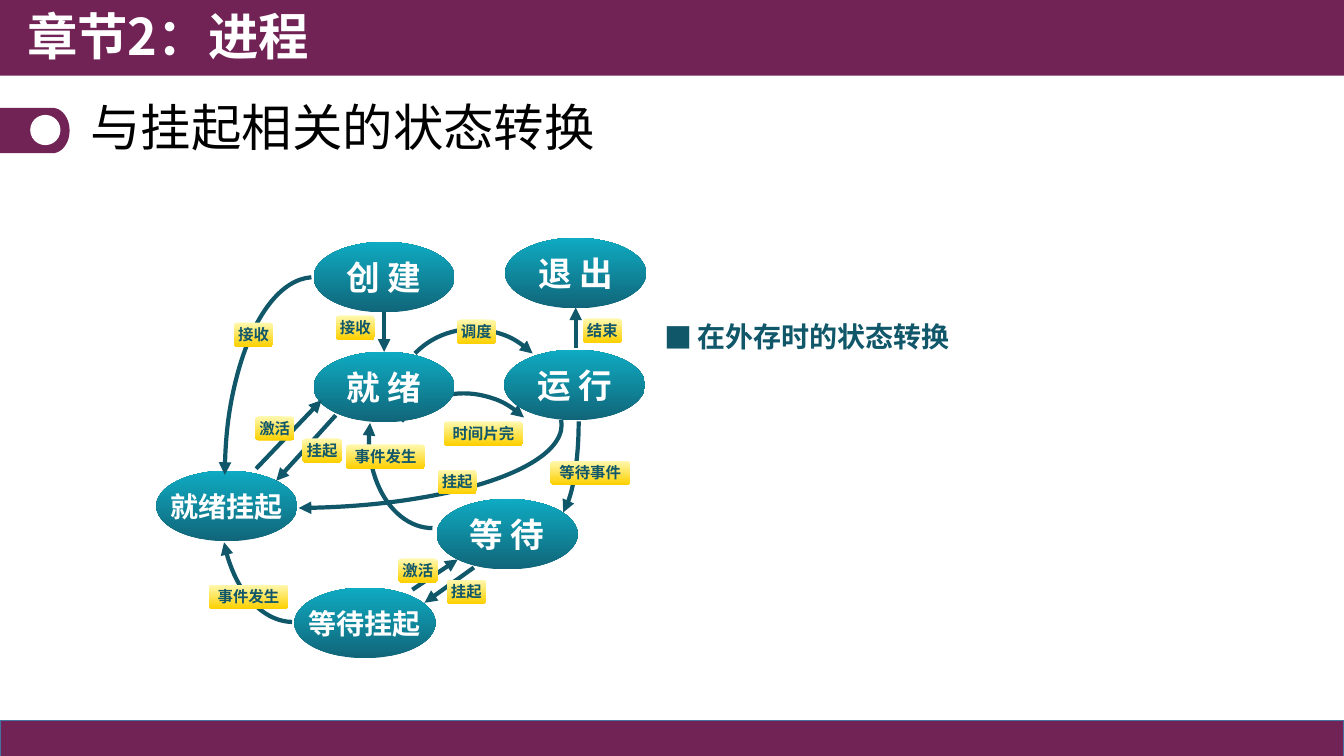
from math import cos, pi, sin

from lxml import etree
from pptx import Presentation
from pptx.dml.color import RGBColor
from pptx.enum.shapes import MSO_CONNECTOR, MSO_SHAPE
from pptx.enum.text import MSO_ANCHOR, PP_ALIGN
from pptx.oxml.ns import qn
from pptx.util import Pt

PX = 9144
RECT, OVAL, ARC = MSO_SHAPE.RECTANGLE, MSO_SHAPE.OVAL, MSO_SHAPE.ARC
ROUND = MSO_SHAPE.ROUNDED_RECTANGLE
LINE = MSO_CONNECTOR.STRAIGHT
MIDDLE, TOP = MSO_ANCHOR.MIDDLE, MSO_ANCHOR.TOP
CENTER = PP_ALIGN.CENTER

PLUM = RGBColor(0x71, 0x23, 0x55)
BLUE = RGBColor(0x43, 0x73, 0x9E)
WHITE = RGBColor(0xFF, 0xFF, 0xFF)
BLACK = RGBColor(0, 0, 0)
TEAL = RGBColor(0x11, 0x57, 0x6A)
DEEP = RGBColor(0x11, 0x65, 0x79)
AQUA = RGBColor(0x0E, 0xAB, 0xC2)
CREAM = RGBColor(0xFF, 0xF9, 0xB1)
GOLD = RGBColor(0xFD, 0xD0, 0x00)
FONT = "Noto Sans CJK SC"
MARK = "Noto Sans CJK JP"

STATES = [
    ("创 建", 156, 4), ("就 绪", 156, 113), ("运 行", 345, 111),
    ("等 待", 278, 259), ("退 出", 346, 0),
    ("就绪挂起", 0, 231), ("等待挂起", 137, 347),
]
LABELS = [
    ("挂起", 279, 230), ("接收", 77, 84), ("事件发生", 52, 344),
    ("接收", 178, 77), ("激活", 98, 177), ("挂起", 145, 199),
    ("事件发生", 188, 205), ("激活", 240, 318), ("挂起", 288, 339),
    ("等待事件", 391, 221), ("时间片完", 285, 182),
    ("调度", 298, 81), ("结束", 423, 80),
]
LINKS = [
    (226, 74, 226, 113), (416, 109, 416, 69), (315, 327, 266, 362),
    (254, 349, 299, 319), (99, 229, 164, 161), (178, 176, 119, 241),
]
UNDER = [
    (369, 84, 50, 196, 0.08, 50.35, 0, ""),
    (224, 153, 167, 172, 160.58, 215.56, 314, ""),
]
OVER = [
    (236, 89, 162, 168, 162, 0, 314, ""),
    (-137, 103, 539, 165, 215.38, 50.37, 0, ""),
    (211, 112, 126, 176, 207.14, 54, 0, "H"),
    (64, 156, 143, 225, 15.68, 53.78, 0, "H"),
    (68, 39, 177, 395, 0.54, 53.54, 0, "HV"),
]


def px(*vals):
    return [round(v * PX) for v in vals]


def add_shape(slide, kind, box, fill=None):
    shape = slide.shapes.add_shape(kind, *px(*box))
    shape.shadow.inherit = False
    shape.line.fill.background()
    if fill is None:
        shape.fill.background()
    else:
        shape.fill.solid()
        shape.fill.fore_color.rgb = fill
    return shape


def blend(shape, first, last, angle):
    shape.fill.gradient()
    shape.fill.gradient_angle = angle
    for stop, color, pos in zip(shape.fill.gradient_stops, (first, last), (0, 1)):
        stop.color.rgb = color
        stop.position = pos


def write(shape, text, size, color, bold=True):
    para = shape.text_frame.paragraphs[0]
    para.text = text
    for run in para.runs:
        font = run.font
        font.size, font.bold, font.name = Pt(size), bold, FONT
        font.color.rgb = color
        etree.SubElement(run._r.rPr, qn("a:ea"), typeface=FONT)
    return para


def add_text(slide, box, text, size, color, bold=True, anchor=TOP):
    area = slide.shapes.add_textbox(*px(*box))
    area.text_frame.word_wrap = True
    area.text_frame.vertical_anchor = anchor
    return write(area, text, size, color, bold)


def fit(shape, text, size, color):
    frame = shape.text_frame
    frame.margin_left = frame.margin_right = 0
    frame.margin_top = frame.margin_bottom = 0
    frame.word_wrap = False
    frame.vertical_anchor = MIDDLE
    write(shape, text, size, color).alignment = CENTER


def point(shape, end):
    shape.line.color.rgb = TEAL
    shape.line.width = Pt(3)
    etree.SubElement(shape.line._get_or_add_ln(), qn(end), type="triangle")


def add_arcs(slide, left, top, arcs):
    for x, y, w, h, start, stop, turn, flip in arcs:
        arc = add_shape(slide, ARC, (left + x, top + y, w, h))
        arc.adjustments[0], arc.adjustments[1] = start, stop
        arc.rotation = turn
        for axis in flip:
            arc._element.spPr.find(qn("a:xfrm")).set("flip" + axis, "1")
        point(arc, "a:headEnd" if flip else "a:tailEnd")


def add_links(slide, left, top):
    for x1, y1, x2, y2 in LINKS:
        ends = px(left + x1, top + y1, left + x2, top + y2)
        link = slide.shapes.add_connector(LINE, *ends)
        point(link, "a:tailEnd")
        etree.SubElement(link._element.spPr, qn("a:effectLst"))


def add_chart_flow(slide, left, top):
    add_arcs(slide, left, top, UNDER)
    for name, x, y in STATES:
        state = add_shape(slide, OVAL, (left + x, top + y, 140, 70), AQUA)
        blend(state, DEEP, AQUA, 90)
        fit(state, name, 24 if " " in name else 20, WHITE)
    add_arcs(slide, left, top, OVER)
    add_links(slide, left, top)
    for name, x, y in LABELS:
        box = (left + x, top + y, 20 * len(name) - 1, 24)
        label = add_shape(slide, ROUND, box, GOLD)
        blend(label, CREAM, GOLD, 270)
        fit(label, name, 11, TEAL)


def add_bars(slide, width, height):
    foot = add_shape(slide, RECT, (0, height - 35, width, 36), PLUM)
    foot.line.color.rgb = BLUE
    foot.line.width = Pt(1)
    add_shape(slide, RECT, (0, 0, width, 75), PLUM)
    add_text(slide, (17, 0, 667, 77), "章节2：进程", 36, WHITE)


def add_head(slide, left, top):
    mid = top + 22.5
    curve = [(left + 52 + 17 * cos(a), mid + 22.5 * sin(a))
             for a in (pi * i / 24 - pi / 2 for i in range(25))]
    path = slide.shapes.build_freeform(*px(left, top), scale=1.0)
    path.add_line_segments([px(*p) for p in curve + [(left, top + 45)]])
    tab = path.convert_to_shape()
    tab.shadow.inherit = False
    tab.fill.solid()
    tab.fill.fore_color.rgb = PLUM
    tab.line.fill.background()
    add_shape(slide, OVAL, (left + 30, top + 7, 30, 30), WHITE)
    para = add_text(slide, (left + 80, top - 20, 1000, 85),
                    "与挂起相关的状态转换", 36, BLACK, False, MIDDLE)
    para.line_spacing = 0.9


def add_note(slide, left, top):
    para = add_text(slide, (left, top, 352, 47), "在外存时的状态转换", 20, TEAL)
    para.line_spacing = 1.2
    props = para._p.get_or_add_pPr()
    props.set("marL", str(33 * PX))
    props.set("indent", str(-33 * PX))
    etree.SubElement(props, qn("a:buFont"), typeface=MARK)
    etree.SubElement(props, qn("a:buChar"), char="■")


def main():
    deck = Presentation()
    deck.slide_width, deck.slide_height = px(1333, 750)
    slide = deck.slides.add_slide(deck.slide_layouts[6])
    add_bars(slide, 1333, 750)
    add_head(slide, 0, 107)
    add_chart_flow(slide, 155, 236)
    add_note(slide, 649, 305)
    deck.save("out.pptx")


if __name__ == "__main__":
    main()
